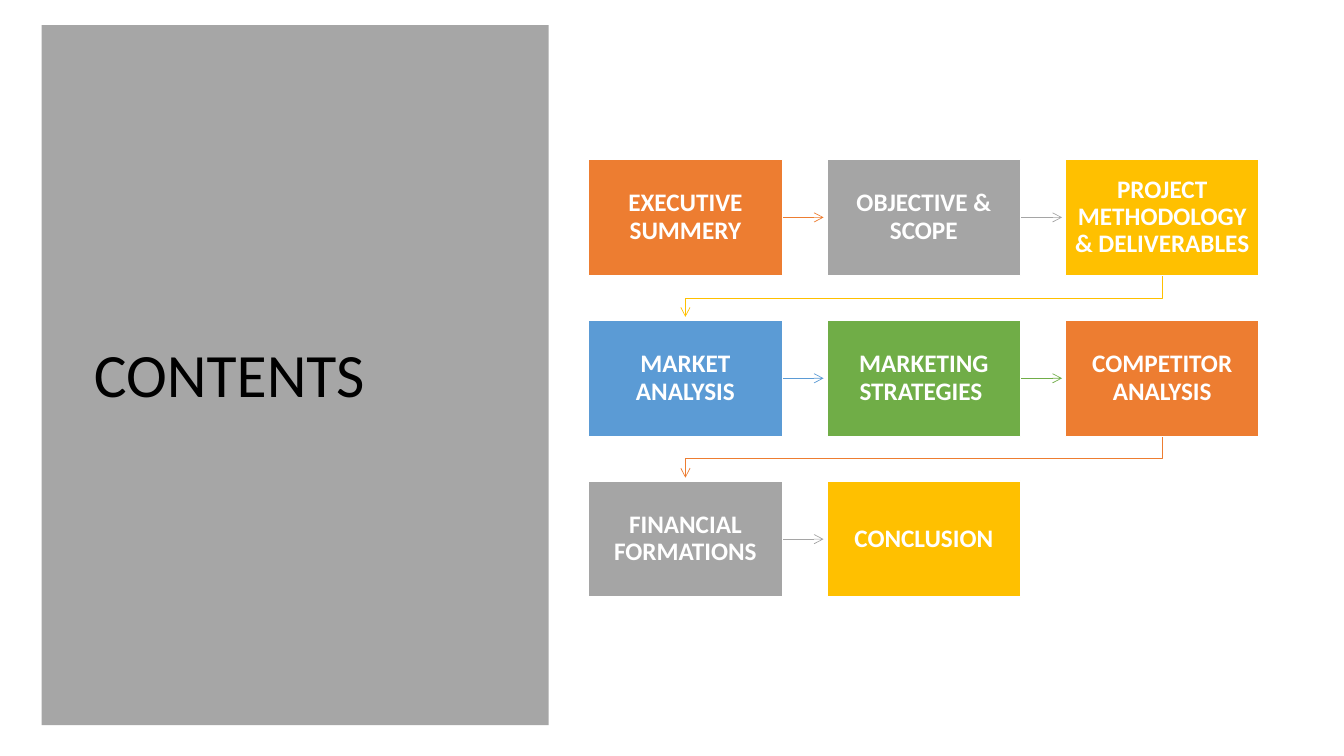
from lxml import etree
from pptx import Presentation
from pptx.dml.color import RGBColor
from pptx.enum.shapes import MSO_CONNECTOR, MSO_SHAPE
from pptx.enum.text import MSO_ANCHOR, PP_ALIGN
from pptx.oxml.ns import qn
from pptx.util import Pt

RECTANGLE = MSO_SHAPE.RECTANGLE
STRAIGHT = MSO_CONNECTOR.STRAIGHT
MIDDLE = MSO_ANCHOR.MIDDLE
LEFT, CENTER = PP_ALIGN.LEFT, PP_ALIGN.CENTER

ORANGE, GRAY, GOLD = "ED7D31", "A5A5A5", "FFC000"
BLUE, GREEN, WHITE = "5B9BD5", "70AD47", "FFFFFF"

COLUMNS = 3
BOX_LEFT, BOX_TOP = 420.4, 113.8
BOX_WIDTH, BOX_HEIGHT = 138.4, 83
COLUMN_STEP, ROW_STEP = 170.3, 114.9
ARROW_LENGTH = 29.5
ELBOW_DROP = 16

STEPS = [
    ("EXECUTIVE SUMMERY", ORANGE),
    ("OBJECTIVE & SCOPE", GRAY),
    ("PROJECT METHODOLOGY & DELIVERABLES ", GOLD),
    ("MARKET ANALYSIS", BLUE),
    ("MARKETING STRATEGIES ", GREEN),
    ("COMPETITOR ANALYSIS", ORANGE),
    ("FINANCIAL FORMATIONS", GRAY),
    ("CONCLUSION", GOLD),
]


def color(value):
    return RGBColor.from_string(value)


def write_text(shape, text, size, text_color, bold=False, align=LEFT, margins=(7.2, 3.6)):
    frame = shape.text_frame
    frame.word_wrap = True
    frame.vertical_anchor = MIDDLE
    frame.margin_left = frame.margin_right = Pt(margins[0])
    frame.margin_top = frame.margin_bottom = Pt(margins[1])
    paragraph = frame.paragraphs[0]
    paragraph.alignment = align
    paragraph.line_spacing = 0.9
    run = paragraph.add_run()
    run.text = text
    run.font.name = "Calibri"
    run.font.size = Pt(size)
    run.font.bold = bold
    run.font.color.rgb = color(text_color)


def add_rectangle(slide, left, top, width, height, fill, line=None):
    shape = slide.shapes.add_shape(RECTANGLE, Pt(left), Pt(top), Pt(width), Pt(height))
    shape.shadow.inherit = False
    shape.fill.solid()
    shape.fill.fore_color.rgb = color(fill)
    if line:
        shape.line.color.rgb = color(line)
        shape.line.width = Pt(1)
    else:
        shape.line.fill.background()
    return shape


def style_arrow(shape, line_color):
    shape.line.color.rgb = color(line_color)
    shape.line.width = Pt(0.5)
    properties = shape.line._get_or_add_ln()
    etree.SubElement(properties, qn("a:tailEnd"), type="arrow")


def add_straight_arrow(slide, left, top, line_color):
    connector = slide.shapes.add_connector(
        STRAIGHT, Pt(left), Pt(top), Pt(left + ARROW_LENGTH), Pt(top)
    )
    style_arrow(connector, line_color)
    etree.SubElement(connector._element.spPr, qn("a:effectLst"))


def add_elbow_arrow(slide, start_x, end_x, top, line_color):
    turn = Pt(top + ELBOW_DROP)
    builder = slide.shapes.build_freeform(Pt(start_x), Pt(top))
    builder.add_line_segments(
        [(Pt(start_x), turn), (Pt(end_x), turn), (Pt(end_x), Pt(top + ARROW_LENGTH))],
        close=False,
    )
    shape = builder.convert_to_shape()
    shape.shadow.inherit = False
    shape.fill.background()
    style_arrow(shape, line_color)


def add_step(slide, index, text, fill):
    row, column = divmod(index, COLUMNS)
    left = BOX_LEFT + column * COLUMN_STEP
    top = BOX_TOP + row * ROW_STEP
    if index < len(STEPS) - 1:
        if column < COLUMNS - 1:
            add_straight_arrow(slide, left + BOX_WIDTH, top + BOX_HEIGHT / 2, fill)
        else:
            half = BOX_WIDTH / 2
            add_elbow_arrow(slide, left + half, BOX_LEFT + half, top + BOX_HEIGHT, fill)
    box = add_rectangle(slide, left, top, BOX_WIDTH, BOX_HEIGHT, fill, line=WHITE)
    write_text(box, text, 18, WHITE, bold=True, align=CENTER, margins=(6.4, 7))


def main():
    presentation = Presentation()
    presentation.slide_width = Pt(960)
    presentation.slide_height = Pt(540)
    slide = presentation.slides.add_slide(presentation.slide_layouts[6])
    add_rectangle(slide, 29.8, 18, 362.2, 500, "A6A6A6")
    title = slide.shapes.add_textbox(Pt(60), Pt(120), Pt(240), Pt(300))
    write_text(title, "CONTENTS", 44, "000000")
    for index, (text, fill) in enumerate(STEPS):
        add_step(slide, index, text, fill)
    presentation.save("out.pptx")


if __name__ == "__main__":
    main()
